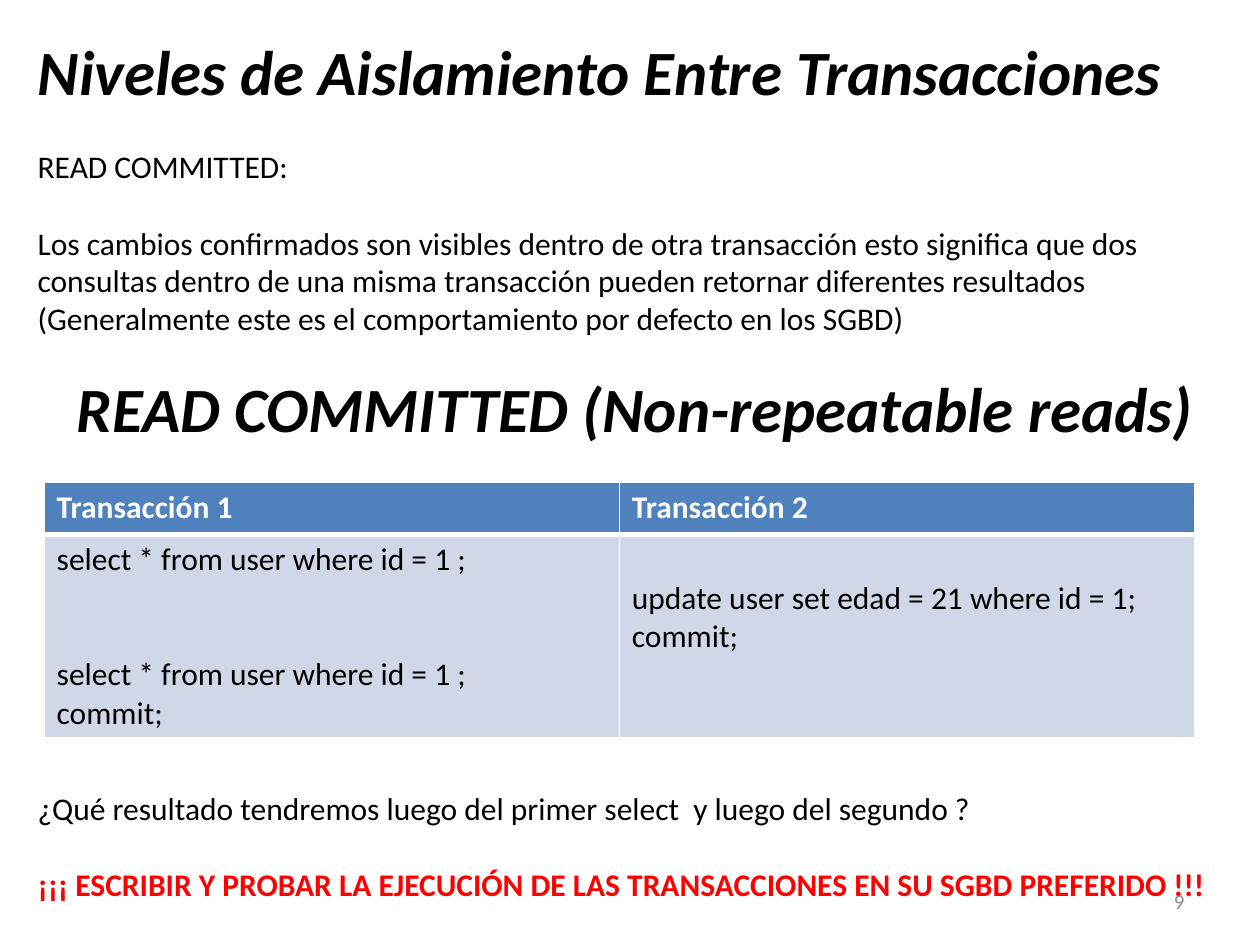
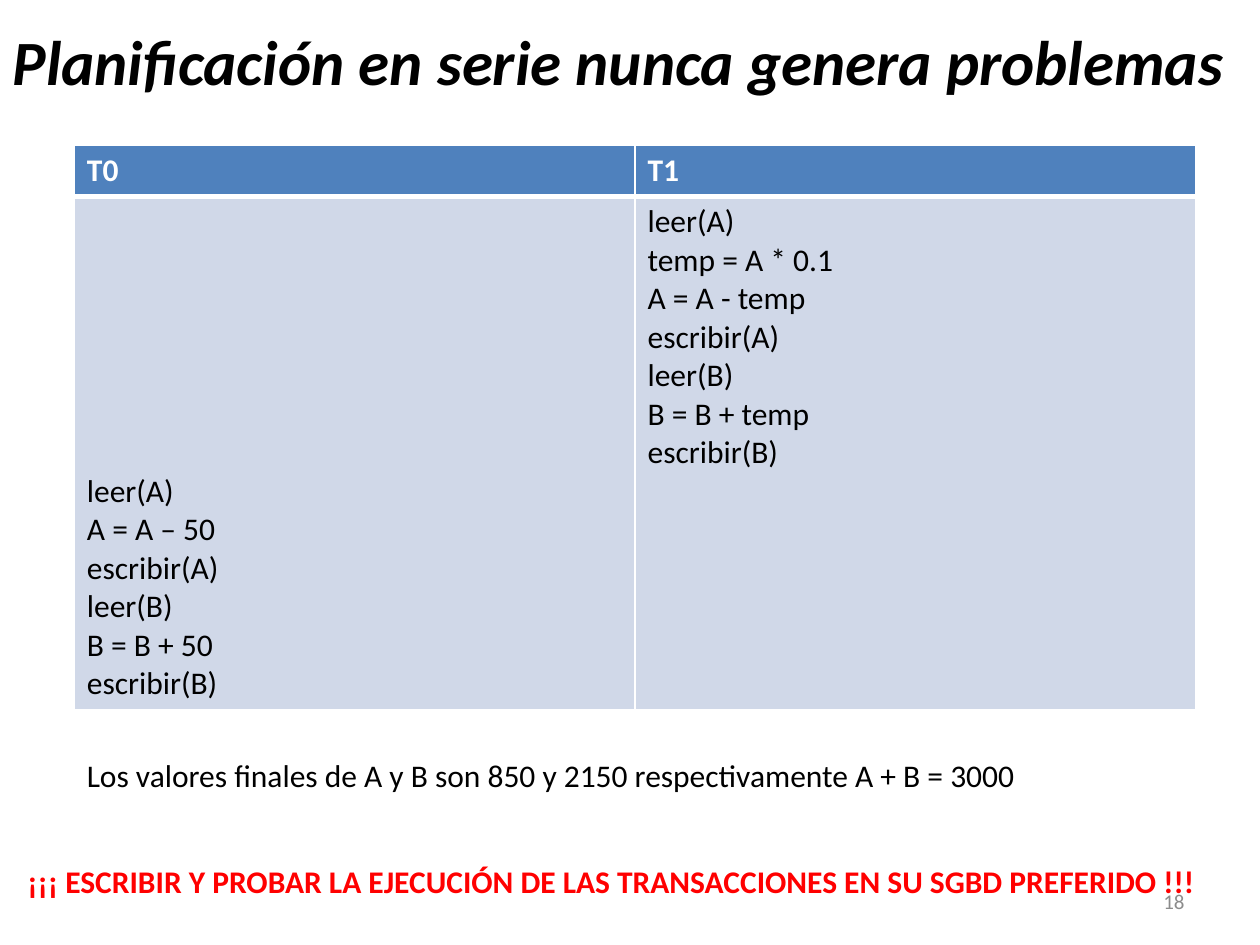
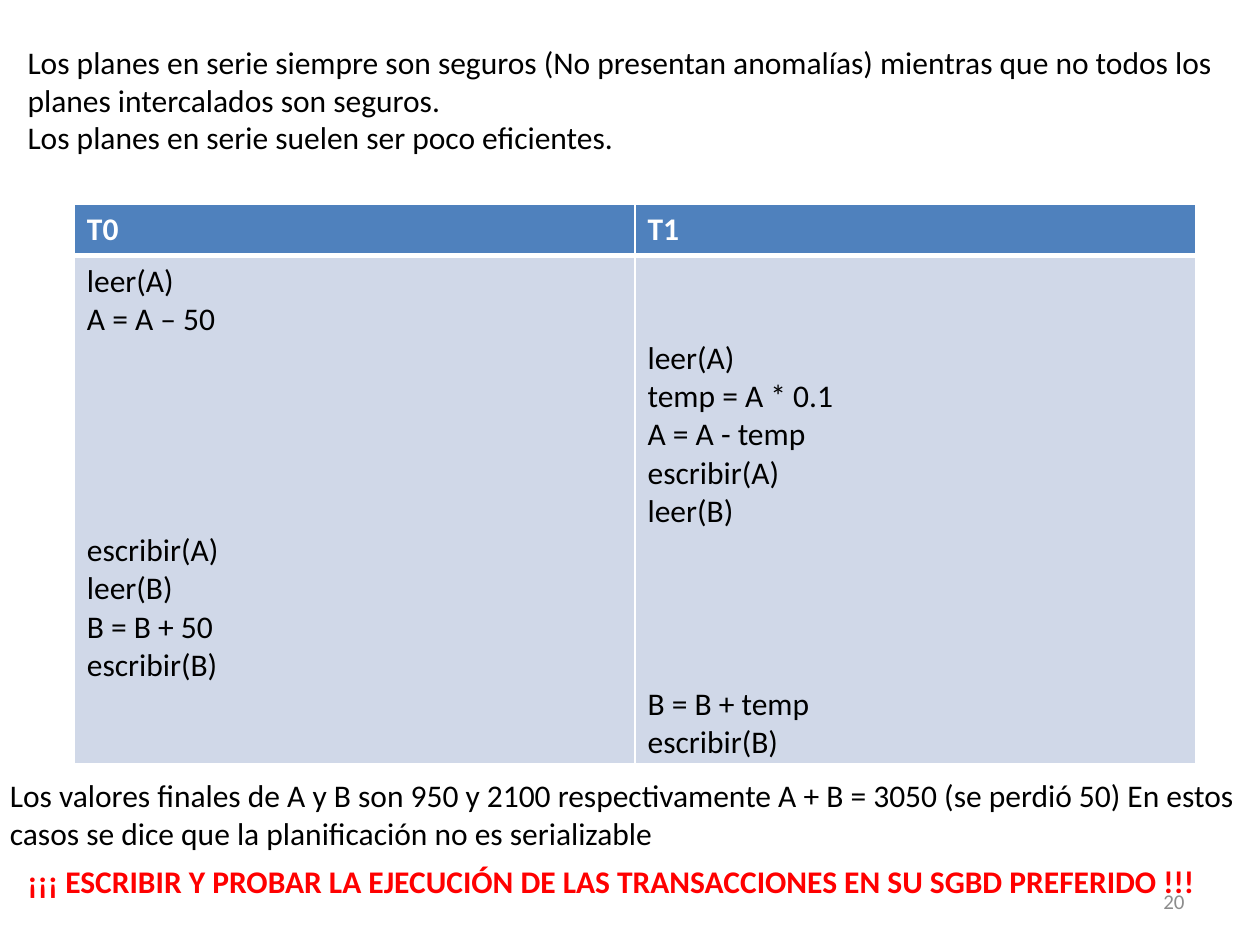
"""Build three slides on transaction isolation and serial schedules."""
from lxml import etree
from pptx import Presentation
from pptx.dml.color import RGBColor
from pptx.enum.text import MSO_ANCHOR, MSO_AUTO_SIZE, PP_ALIGN
from pptx.oxml.ns import qn
from pptx.util import Inches, Pt

LEFT, RIGHT = PP_ALIGN.LEFT, PP_ALIGN.RIGHT
TOP, MIDDLE = MSO_ANCHOR.TOP, MSO_ANCHOR.MIDDLE
NO_AUTOSIZE = MSO_AUTO_SIZE.NONE

TITLE_ONLY, BLANK = 5, 6
FONT = "Calibri"
BLACK, WHITE, RED, GRAY = "000000", "FFFFFF", "FF0000", "8C8C8C"
HEADER_FILL, BODY_FILL = "4F81BD", "D0D8E8"
BODY_SIZE, TITLE_SIZE, NUMBER_SIZE = 18, 36, 12
LINE_POINTS = 22
HEADER_HEIGHT = 0.41
THIN, THICK = 1, 3

WARNING = "¡¡¡ ESCRIBIR Y PROBAR LA EJECUCIÓN DE LAS TRANSACCIONES EN SU SGBD PREFERIDO !!!"
SELECT = "select * from user where id = 1 ;"
T0_STEPS = ["leer(A)", "A = A – 50", "escribir(A)", "leer(B)", "B = B + 50", "escribir(B)"]
T1_STEPS = ["leer(A)", "temp = A * 0.1", "A = A - temp", "escribir(A)", "leer(B)",
            "B = B + temp", "escribir(B)"]


def color(value):
    """Turn a hex string into a colour."""
    return RGBColor.from_string(value)


def format_paragraph(para, text, size=BODY_SIZE, ink=BLACK, bold=False, italic=False, align=LEFT):
    """Write one paragraph and set its font."""
    para.text = text
    para.alignment = align
    font = para.font
    font.name, font.size, font.bold, font.italic = FONT, Pt(size), bold, italic
    font.color.rgb = color(ink)


def write_lines(frame, lines, gap_lines=0, **style):
    """Write paragraphs into a frame, with an equal gap between them."""
    for index, line in enumerate(lines):
        para = frame.add_paragraph() if index else frame.paragraphs[0]
        format_paragraph(para, line, **style)
        if index and gap_lines:
            para.space_before = Pt(gap_lines * LINE_POINTS)


def add_text(page, left, top, width, height, lines, anchor=TOP, **style):
    """Add a wrapping text box."""
    box = page.shapes.add_textbox(Inches(left), Inches(top), Inches(width), Inches(height))
    box.text_frame.word_wrap = True
    box.text_frame.vertical_anchor = anchor
    write_lines(box.text_frame, lines, **style)


def set_title(page, left, top, width, text):
    """Place and format the title placeholder."""
    title = page.shapes.title
    title.left, title.top = Inches(left), Inches(top)
    title.width, title.height = Inches(width), Inches(0.71)
    frame = title.text_frame
    frame.word_wrap, frame.auto_size, frame.vertical_anchor = True, NO_AUTOSIZE, TOP
    write_lines(frame, [text], size=TITLE_SIZE, bold=True, italic=True)


def add_warning(page, left, top):
    """Add the red call to try the transactions."""
    add_text(page, left, top, 9.53, 0.4, [WARNING], ink=RED, bold=True)


def add_number(page, number):
    """Add the slide number at the bottom right."""
    add_text(page, 7.17, 6.95, 2.33, 0.4, [str(number)], anchor=MIDDLE,
             size=NUMBER_SIZE, ink=GRAY, align=RIGHT)


def set_borders(cell, top, bottom):
    """Draw white cell borders with the given top and bottom widths."""
    properties = cell._tc.get_or_add_tcPr()
    sides = (("lnL", THIN), ("lnR", THIN), ("lnT", top), ("lnB", bottom))
    for position, (side, width) in enumerate(sides):
        line = etree.Element(qn("a:" + side), w=str(Pt(width)))
        fill = etree.SubElement(line, qn("a:solidFill"))
        etree.SubElement(fill, qn("a:srgbClr"), val=WHITE)
        properties.insert(position, line)


def style_cell(cell, fill, top, bottom):
    """Fill a cell and draw its borders."""
    cell.fill.solid()
    cell.fill.fore_color.rgb = color(fill)
    set_borders(cell, top, bottom)


def write_blocks(cell, blocks):
    """Write blocks of steps, each after a number of free lines."""
    frame = cell.text_frame
    for index, (free_lines, steps) in enumerate(blocks):
        if index:
            para = frame.add_paragraph()
            para.space_before = Pt(free_lines * LINE_POINTS)
        else:
            para = frame.paragraphs[0]
            cell.margin_top = Inches(0.05) + Pt(free_lines * LINE_POINTS)
        format_paragraph(para, steps[0])
        for step in steps[1:]:
            format_paragraph(frame.add_paragraph(), step)


def add_schedule(page, left, top, width, height, columns):
    """Add a table with one column of steps per transaction."""
    table = page.shapes.add_table(2, len(columns), Inches(left), Inches(top),
                                  Inches(width), Inches(height)).table
    table.horz_banding = False
    table.rows[0].height = Inches(HEADER_HEIGHT)
    table.rows[1].height = Inches(height - HEADER_HEIGHT)
    for index, (name, blocks) in enumerate(columns):
        header, body = table.cell(0, index), table.cell(1, index)
        style_cell(header, HEADER_FILL, THIN, THICK)
        style_cell(body, BODY_FILL, THICK, THIN)
        write_lines(header.text_frame, [name], ink=WHITE, bold=True)
        write_blocks(body, blocks)


def build_read_committed(deck):
    """Build the slide on the read committed level."""
    page = deck.slides.add_slide(deck.slide_layouts[TITLE_ONLY])
    set_title(page, 0.2, 0.21, 9.61, "Niveles de Aislamiento Entre Transacciones")
    add_text(page, 0.2, 1.12, 9.61, 1.61, [
        "READ COMMITTED:",
        "Los cambios confirmados son visibles dentro de otra transacción esto significa que dos "
        "consultas dentro de una misma transacción pueden retornar diferentes resultados "
        "(Generalmente este es el comportamiento por defecto en los SGBD)"], gap_lines=1)
    add_text(page, 0.51, 2.88, 9.15, 0.71, ["READ COMMITTED (Non-repeatable reads)"],
             size=TITLE_SIZE, bold=True, italic=True)
    add_schedule(page, 0.35, 3.83, 9.13, 2.01, [
        ("Transacción 1", [(0, [SELECT]), (2, [SELECT, "commit;"])]),
        ("Transacción 2", [(1, ["update user set edad = 21 where id = 1;", "commit;"])])])
    add_text(page, 0.2, 6.21, 9.61, 0.4,
             ["¿Qué resultado tendremos luego del primer select  y luego del segundo ?"])
    add_warning(page, 0.2, 6.82)
    add_number(page, 9)


def build_serial_schedule(deck):
    """Build the slide on a serial schedule."""
    page = deck.slides.add_slide(deck.slide_layouts[TITLE_ONLY])
    set_title(page, 0, 0.13, 10, "Planificación en serie nunca genera problemas")
    add_schedule(page, 0.59, 1.15, 8.9, 4.41,
                 [("T0", [(len(T1_STEPS), T0_STEPS)]), ("T1", [(0, T1_STEPS)])])
    add_text(page, 0.59, 5.95, 8.82, 0.4,
             ["Los valores finales de A y B son 850 y 2150 respectivamente A + B = 3000"])
    add_warning(page, 0.12, 6.79)
    add_number(page, 18)


def build_interleaved_schedule(deck):
    """Build the slide on an interleaved schedule."""
    page = deck.slides.add_slide(deck.slide_layouts[BLANK])
    add_text(page, 0.12, 0.29, 9.69, 1.01, [
        "Los planes en serie siempre son seguros (No presentan anomalías) mientras que no todos "
        "los planes intercalados son seguros.",
        "Los planes en serie suelen ser poco eficientes."])
    add_schedule(page, 0.59, 1.62, 8.9, 4.41, [
        ("T0", [(0, T0_STEPS[:2]), (5, T0_STEPS[2:])]),
        ("T1", [(2, T1_STEPS[:5]), (4, T1_STEPS[5:])])])
    add_text(page, -0.02, 6.11, 10, 0.71, [
        "Los valores finales de A y B son 950 y 2100 respectivamente A + B = 3050 "
        "(se perdió 50) En estos casos se dice que la planificación no es serializable"])
    add_warning(page, 0.12, 6.79)
    add_number(page, 20)


def main():
    """Build and save the deck."""
    deck = Presentation()
    deck.slide_width, deck.slide_height = Inches(10), Inches(7.5)
    build_read_committed(deck)
    build_serial_schedule(deck)
    build_interleaved_schedule(deck)
    deck.save("out.pptx")


if __name__ == "__main__":
    main()
